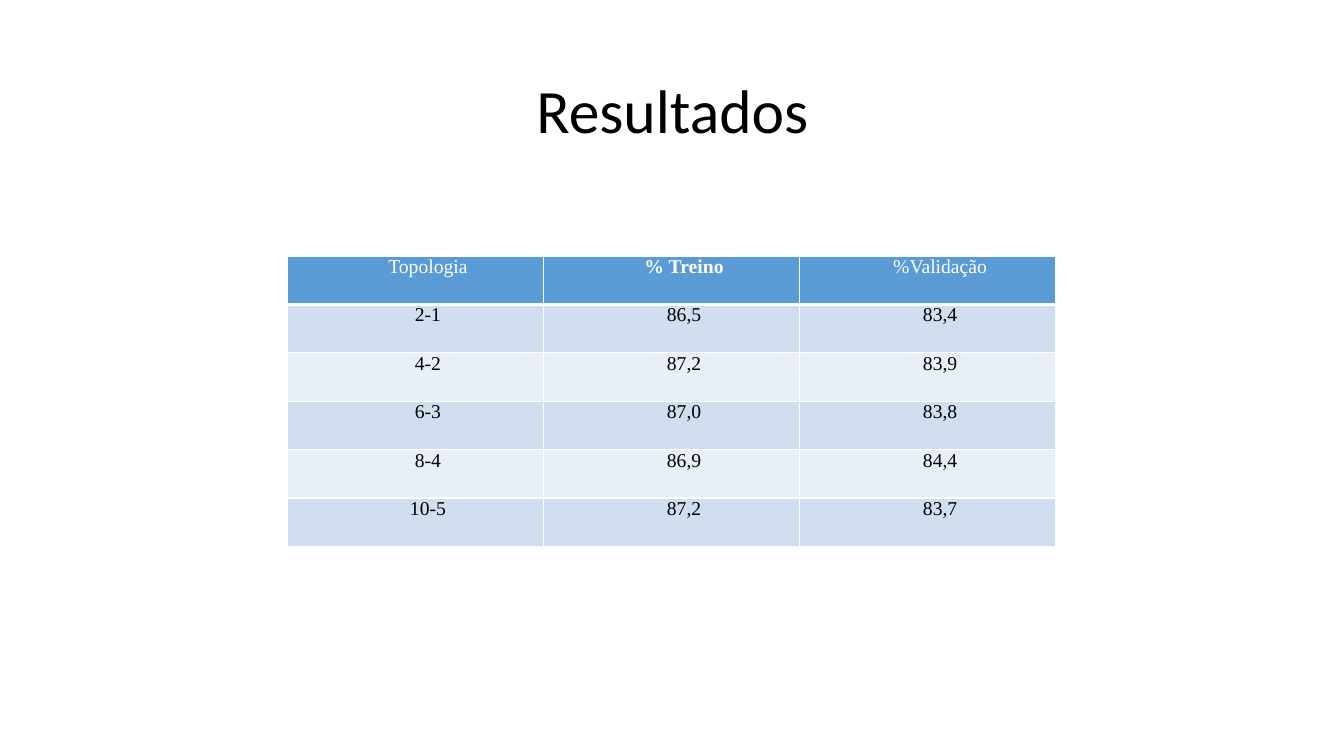
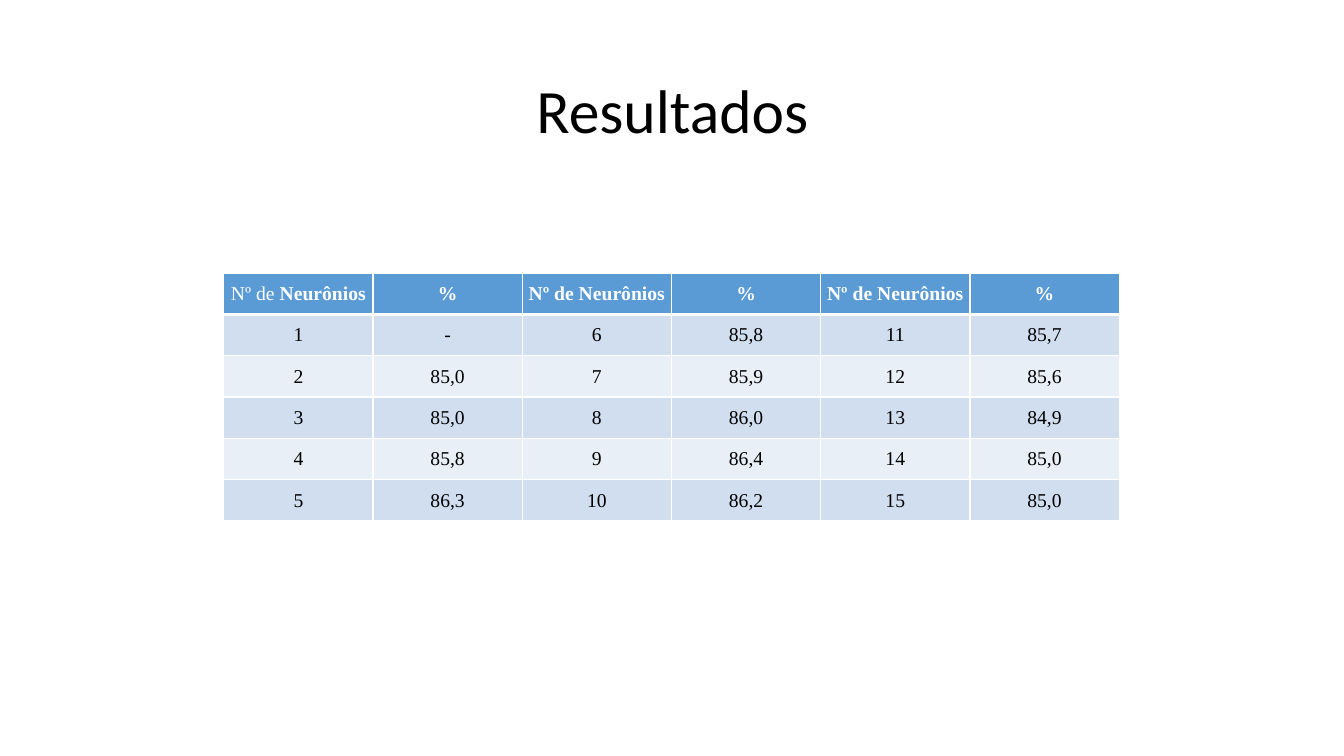
from lxml import etree
from pptx import Presentation, util as u
from pptx.dml.color import RGBColor
from pptx.enum import text
from pptx.oxml.ns import qn

WHITE, BLACK, HEAD = "FFFFFF", "000000", "5B9BD5"
BANDS = ("D0DEEF", "E9EFF7")
TITLE_FONT, TABLE_FONT = "Calibri", "Times New Roman"
MID, TOP = text.MSO_ANCHOR.MIDDLE, text.MSO_ANCHOR.TOP


def color(code):
    return RGBColor.from_string(code)


def add_run(para, words, font, size, code, bold=False):
    run = para.add_run()
    run.text = words
    run.font.name = font
    run.font.size = u.Pt(size)
    run.font.bold = bold
    run.font.color.rgb = color(code)


def add_title(slide, words):
    box = slide.shapes.add_textbox(u.Inches(0.92), u.Inches(0.4),
                                   u.Inches(11.5), u.Inches(1.45))
    frame = box.text_frame
    frame.word_wrap = True
    frame.vertical_anchor = MID
    para = frame.paragraphs[0]
    para.alignment = text.PP_ALIGN.CENTER
    para.line_spacing = 0.9
    add_run(para, words, TITLE_FONT, 44, BLACK)


def set_edges(cell, row):
    """Draw white cell borders, thick between the header and the body."""
    props = cell._tc.get_or_add_tcPr()
    widths = {"lnL": 1, "lnR": 1, "lnT": 3 if row == 1 else 1,
              "lnB": 3 if row == 0 else 1}
    for spot, (tag, width) in enumerate(widths.items()):
        line = etree.Element(qn("a:" + tag), w=str(u.Pt(width)))
        fill = etree.SubElement(line, qn("a:solidFill"))
        etree.SubElement(fill, qn("a:srgbClr"), val=WHITE)
        props.insert(spot, line)


def fill_cell(cell, runs, row, pad, anchor, indent):
    cell.fill.solid()
    cell.fill.fore_color.rgb = color(BANDS[(row - 1) % 2] if row else HEAD)
    set_edges(cell, row)
    cell.margin_left = cell.margin_right = u.Inches(pad)
    cell.margin_top = cell.margin_bottom = 0
    cell.vertical_anchor = anchor
    para = cell.text_frame.paragraphs[0]
    para.alignment = text.PP_ALIGN.CENTER
    if indent:
        props = para._p.get_or_add_pPr()
        props.set("marL", "0")
        props.set("indent", str(u.Inches(indent)))
    for words, bold in runs:
        add_run(para, words, TABLE_FONT, 14, BLACK if row else WHITE, bold)


def add_grid(slide, left, top, width, height, heads, body,
             pad, anchor, indent=0):
    """Add a table; heads holds (words, bold) runs for each column."""
    rows = [heads] + [[[(value, False)] for value in line] for line in body]
    table = slide.shapes.add_table(
        len(rows), len(heads), u.Inches(left), u.Inches(top),
        u.Inches(width * len(heads)), u.Inches(height * len(rows))).table
    for col in table.columns:
        col.width = u.Inches(width)
    for r, line in enumerate(rows):
        table.rows[r].height = u.Inches(height)
        for c, runs in enumerate(line):
            fill_cell(table.cell(r, c), runs, r, pad, anchor, indent)


def main():
    deck = Presentation()
    deck.slide_width, deck.slide_height = u.Inches(13.33), u.Inches(7.5)
    blank = deck.slide_layouts[6]

    slide = deck.slides.add_slide(blank)
    add_title(slide, "Resultados")
    heads = [[("Topologia", False)], [("% Treino", True)],
             [("%Validação", False)]]
    body = [("2-1", "86,5", "83,4"), ("4-2", "87,2", "83,9"),
            ("6-3", "87,0", "83,8"), ("8-4", "86,9", "84,4"),
            ("10-5", "87,2", "83,7")]
    add_grid(slide, 2.85, 2.54, 2.54, 0.48, heads, body, 0.07, TOP, 0.25)

    slide = deck.slides.add_slide(blank)
    add_title(slide, "Resultados")
    count, rate = [("Nº de Neurônios", True)], [("%", True)]
    first = [("Nº de ", False), ("Neurônios", True)]
    heads = [first, rate, count, rate, count, rate]
    rates = ["-", "85,0", "85,0", "85,8", "86,3",
             "85,8", "85,9", "86,0", "86,4", "86,2",
             "85,7", "85,6", "84,9", "85,0", "85,0"]
    body = [[value for n in range(r, len(rates), 5)
             for value in (str(n + 1), rates[n])] for r in range(5)]
    add_grid(slide, 2.22, 2.71, 1.48, 0.41, heads, body, 0.05, MID)

    deck.save("out.pptx")


if __name__ == "__main__":
    main()
